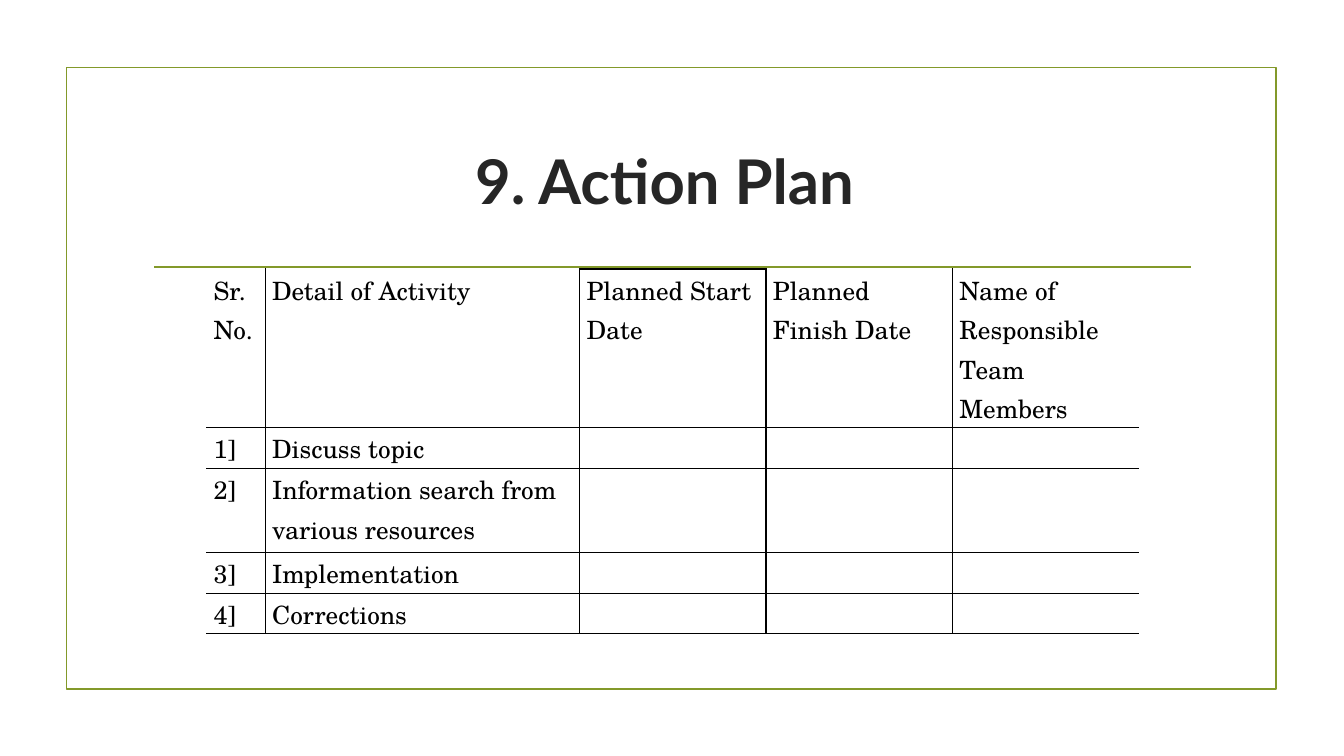
from lxml.etree import SubElement
from pptx import Presentation
from pptx.dml.color import RGBColor
from pptx.enum.shapes import MSO_CONNECTOR as CONN, MSO_SHAPE as SHAPE
from pptx.enum.text import MSO_ANCHOR as ANCHOR, PP_ALIGN as ALIGN
from pptx.oxml.ns import qn
from pptx.util import Pt

GREEN = RGBColor(0x83, 0x99, 0x2A)
DARK = RGBColor(0x26, 0x26, 0x26)
BLACK = RGBColor(0, 0, 0)
WHITE = RGBColor(0xFF, 0xFF, 0xFF)

HEADERS = ["Sr. No.", "Detail of Activity", "Planned Start Date",
           "Planned Finish Date", "Name of Responsible Team Members"]
ACTIVITIES = ["Discuss topic", "Information search from various resources",
              "Implementation", "Corrections"]
COL_WIDTHS = [41.8, 224.6, 133.2, 133.2, 133.2]
ROW_HEIGHTS = [35.3, 29.5, 59.8, 29.5, 26.6]
START_COL = HEADERS.index("Planned Start Date")


def write(tf, text, font, size, color, bold=False, align=ALIGN.LEFT, spacing=None):
    p = tf.paragraphs[0]
    p.alignment = align
    p.line_spacing = spacing
    r = p.add_run()
    r.text = text
    r.font.name = font
    r.font.size = Pt(size)
    r.font.bold = bold
    r.font.color.rgb = color


def add_frame(s, x, y, w, h):
    sp = s.shapes.add_shape(SHAPE.RECTANGLE, Pt(x), Pt(y), Pt(w), Pt(h))
    sp.shadow.inherit = False
    sp.fill.background()
    sp.line.color.rgb = GREEN
    sp.line.width = Pt(1.25)


def add_rule(s, x, y, w):
    line = s.shapes.add_connector(CONN.STRAIGHT, Pt(x), Pt(y), Pt(x + w), Pt(y))
    line.line.color.rgb = GREEN
    line.line.width = Pt(1.25)
    SubElement(line.element.spPr, qn("a:effectLst"))


def add_title(s, x, y, w, h):
    sp = s.shapes.title
    sp.left, sp.top, sp.width, sp.height = Pt(x), Pt(y), Pt(w), Pt(h)
    sp.text_frame.vertical_anchor = ANCHOR.MIDDLE
    write(sp.text_frame, "9. Action Plan ", "Lato", 44, DARK,
          bold=True, align=ALIGN.CENTER)


def set_border(cell, side, color):
    ln = SubElement(cell._tc.get_or_add_tcPr(), qn(f"a:ln{side}"), w=str(Pt(1)))
    fill = SubElement(ln, qn("a:solidFill"))
    SubElement(fill, qn("a:srgbClr"), val=str(color))


def format_cell(cell, row, col):
    cell.margin_left = cell.margin_right = Pt(5)
    cell.margin_top = cell.margin_bottom = 0
    open_sides = {"L": col == 0, "R": col == len(HEADERS) - 1,
                  "T": row == 0 and col != START_COL, "B": False}
    for side, is_open in open_sides.items():
        set_border(cell, side, WHITE if is_open else BLACK)
    cell.fill.solid()
    cell.fill.fore_color.rgb = WHITE


def add_plan(s, x, y, w, h):
    rows = [HEADERS] + [[f"{i}]", a, "", "", ""] for i, a in enumerate(ACTIVITIES, 1)]
    gf = s.shapes.add_table(len(rows), len(HEADERS), Pt(x), Pt(y), Pt(w), Pt(h))
    table = gf.table
    table.first_row = table.horz_banding = False
    for column, width in zip(table.columns, COL_WIDTHS):
        column.width = Pt(width)
    for row, height in zip(table.rows, ROW_HEIGHTS):
        row.height = Pt(height)
    gf.height = Pt(h)
    for i, texts in enumerate(rows):
        for j, text in enumerate(texts):
            cell = table.cell(i, j)
            format_cell(cell, i, j)
            if text:
                write(cell.text_frame, text, "TeX Gyre Schola", 18, BLACK, spacing=1.07)


def main():
    prs = Presentation()
    prs.slide_width, prs.slide_height = Pt(960), Pt(540)
    s = prs.slides.add_slide(prs.slide_layouts[5])
    add_frame(s, 47.5, 48.2, 864, 444.2)
    add_rule(s, 110.2, 190.8, 740.2)
    add_title(s, 102.2, 77, 756, 103)
    add_plan(s, 147.6, 192.2, sum(COL_WIDTHS), 237.6)
    prs.save("out.pptx")


if __name__ == "__main__":
    main()
